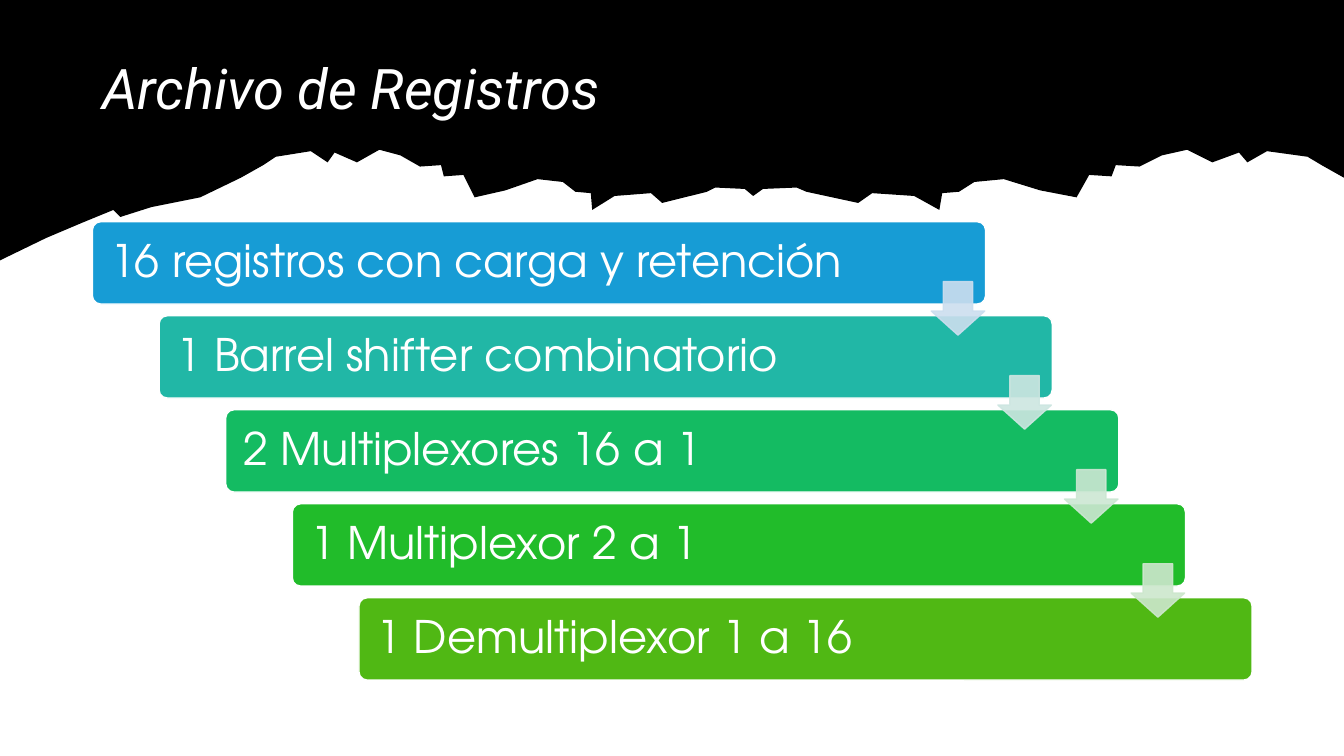
from lxml.etree import SubElement
from pptx import Presentation
from pptx.dml.color import RGBColor
from pptx.enum.shapes import MSO_SHAPE
from pptx.enum.text import MSO_ANCHOR, PP_ALIGN
from pptx.oxml.ns import qn
from pptx.util import Pt

# Content
TITLE = "Archivo de Registros"
STEPS = [
    "16 registros con carga y retención",
    "1 Barrel shifter combinatorio",
    "2 Multiplexores 16 a 1",
    "1 Multiplexor 2 a 1",
    "1 Demultiplexor 1 a 16",
]
COLORS = {
    "white": "FFFFFF",
    "black": "000000",
    "bars": ["179CD5", "21B7A6", "14BB62", "21BC2A", "50B814"],
    "arrows": ["CCDEEF", "CDE6E1", "CCE7D3", "CDE7CD"],
}
TITLE_FONT, STEP_FONT = "Roboto", "TeX Gyre Adventor"

# Torn header edge in points: the slope, then half of the ridge
SLOPE = [(0, 186), (33, 170), (59, 159), (81, 150), (86, 155), (108, 148),
         (143, 141), (172, 127)]
RIDGE = [(188, 118), (197, 112), (222, 108), (234, 116), (239, 109), (255, 116),
         (271, 107), (286, 111), (300, 119), (315, 118), (317, 126), (331, 125),
         (339, 141), (361, 136), (384, 128), (402, 130), (411, 137), (422, 138),
         (423, 150), (439, 140), (465, 138), (473, 145), (505, 137), (511, 134),
         (532, 135)]
RIDGE_CENTER, MIRROR_STRETCH = (538, 140), 1.16

# Layout in points
SLIDE_W, SLIDE_H = 960, 540
BAR_LEFT, BAR_TOP, BAR_W, BAR_H = 66, 158.4, 638, 58.8
STEP_X, STEP_Y = 47.6, 67.15
ARROW_LEFT, ARROW_TOP, ARROW_SIZE = 665.2, 201.2, 38.2


def paint(shape, fill, line=None):
    shape.shadow.inherit = False
    shape.fill.solid()
    shape.fill.fore_color.rgb = RGBColor.from_string(fill)
    if line:
        shape.line.color.rgb = RGBColor.from_string(line)
        shape.line.width = Pt(1)
    else:
        shape.line.fill.background()


def write(frame, text, font, size, italic=False):
    frame.text = text
    frame.word_wrap = True
    frame.vertical_anchor = MSO_ANCHOR.MIDDLE
    paragraph = frame.paragraphs[0]
    paragraph.alignment = PP_ALIGN.LEFT
    paragraph.line_spacing = 0.9
    letters = paragraph.runs[0].font
    letters.name, letters.size, letters.italic = font, Pt(size), italic
    letters.color.rgb = RGBColor.from_string(COLORS["white"])


deck = Presentation()
deck.slide_width, deck.slide_height = Pt(SLIDE_W), Pt(SLIDE_H)
slide = deck.slides.add_slide(deck.slide_layouts[5])
shapes = slide.shapes
slide.background.fill.solid()
slide.background.fill.fore_color.rgb = RGBColor.from_string(COLORS["white"])

# Header with torn edge, placed behind the title; the right ridge mirrors the left
center_x = RIDGE_CENTER[0]
mirrored = [(center_x + (center_x - x) * MIRROR_STRETCH, y) for x, y in reversed(RIDGE)]
edge = SLOPE + RIDGE + [RIDGE_CENTER] + mirrored + [(SLIDE_W, 127), (SLIDE_W, 0)]
outline = shapes.build_freeform(0, 0, scale=Pt(1))
outline.add_line_segments(edge, close=True)
header = outline.convert_to_shape()
paint(header, COLORS["black"])
title = shapes.title
title._element.addprevious(header._element)

# Title
title.left, title.top, title.width, title.height = Pt(66), Pt(28.8), Pt(828), Pt(73.4)
write(title.text_frame, TITLE, TITLE_FONT, 40, italic=True)

# Staircase of bars
for i, (step, color) in enumerate(zip(STEPS, COLORS["bars"])):
    bar = shapes.add_shape(
        MSO_SHAPE.ROUNDED_RECTANGLE, Pt(BAR_LEFT + i * STEP_X),
        Pt(BAR_TOP + i * STEP_Y), Pt(BAR_W), Pt(BAR_H))
    bar.adjustments[0] = 0.1
    paint(bar, color, COLORS["white"])
    frame = bar.text_frame
    frame.margin_left = frame.margin_right = Pt(11)
    write(frame, step, STEP_FONT, 32)

# Arrows from each bar to the next, slightly transparent
for i, color in enumerate(COLORS["arrows"]):
    arrow = shapes.add_shape(
        MSO_SHAPE.DOWN_ARROW, Pt(ARROW_LEFT + i * STEP_X),
        Pt(ARROW_TOP + i * STEP_Y), Pt(ARROW_SIZE), Pt(ARROW_SIZE))
    arrow.adjustments[0], arrow.adjustments[1] = 0.55, 0.45
    paint(arrow, color, color)
    for tint in arrow._element.spPr.iter(qn("a:srgbClr")):
        SubElement(tint, qn("a:alpha")).set("val", "90000")

deck.save("out.pptx")
